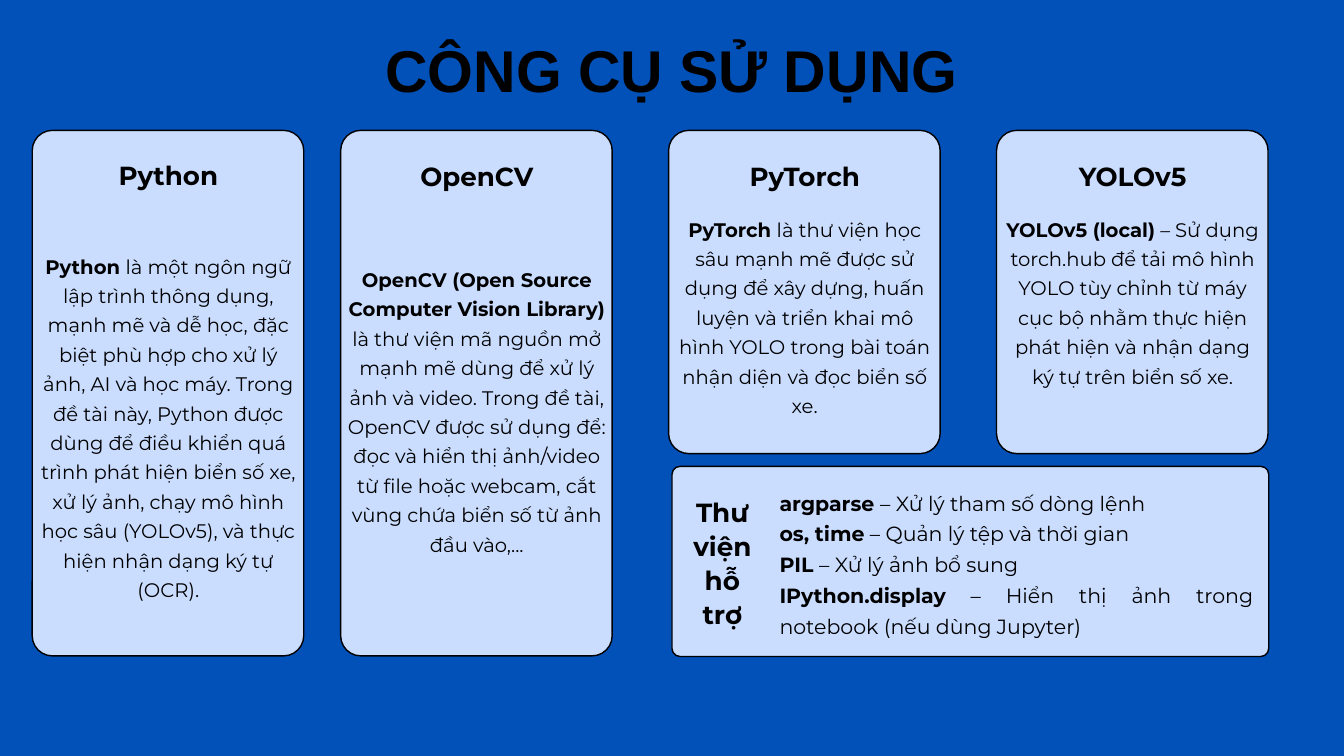
import pptx
import pptx.util
import pptx.dml.color
import pptx.enum.shapes
import pptx.enum.text
import pptx.oxml.ns
import lxml.etree

BLUE = pptx.dml.color.RGBColor(0x01, 0x51, 0xB8)
PALE = pptx.dml.color.RGBColor(0xCA, 0xDD, 0xFF)
BLACK = pptx.dml.color.RGBColor(0, 0, 0)

EMU_PER_PX = 9144  # 100 px to the inch
CARD_TOP, CARD_W, CARD_RADIUS = 194, 404, 30
TALL_H, SHORT_H = 782, 481
HEADING_INSET, HEADING_W, HEADING_H = 57, 291, 48
TEXT_INSET, TEXT_W = 9, 387

CENTER = pptx.enum.text.PP_ALIGN.CENTER
JUSTIFY = pptx.enum.text.PP_ALIGN.JUSTIFY

# left, card height, heading, heading top, text top, text height, bold lead, rest
CARDS = [
    (48, TALL_H, "Python", 233, 370, 521, "Python ",
     "là một ngôn ngữ lập trình thông dụng, mạnh mẽ và dễ học, đặc biệt phù hợp "
     "cho xử lý ảnh, AI và học máy. Trong đề tài này, Python được dùng để điều "
     "khiển quá trình phát hiện biển số xe, xử lý ảnh, chạy mô hình học sâu "
     "(YOLOv5), và thực hiện nhận dạng ký tự (OCR)."),
    (507, TALL_H, "OpenCV", 235, 390, 477,
     "OpenCV (Open Source Computer Vision Library)",
     " là thư viện mã nguồn mở mạnh mẽ dùng để xử lý ảnh và video. Trong đề tài, "
     "OpenCV được sử dụng để: đọc và hiển thị ảnh/video từ file hoặc webcam, cắt "
     "vùng chứa biển số từ ảnh đầu vào,..."),
    (995, SHORT_H, "PyTorch", 235, 315, 302, "PyTorch ",
     "là thư viện học sâu mạnh mẽ được sử dụng để xây dựng, huấn luyện và triển "
     "khai mô hình YOLO trong bài toán nhận diện và đọc biển số xe."),
    (1483, SHORT_H, "YOLOv5", 235, 315, 302, "YOLOv5 (local)",
     " – Sử dụng torch.hub để tải mô hình YOLO tùy chỉnh từ máy cục bộ nhằm thực "
     "hiện phát hiện và nhận dạng ký tự trên biển số xe."),
]

LIBRARIES = [
    ("argparse ", "– Xử lý tham số dòng lệnh"),
    ("os, time", " – Quản lý tệp và thời gian"),
    ("PIL ", "– Xử lý ảnh bổ sung"),
    ("IPython.display", " – Hiển thị ảnh trong notebook (nếu dùng Jupyter)"),
]


def px(n):
    return pptx.util.Emu(n * EMU_PER_PX)


def place(sp, left, top, width, height):
    sp.left, sp.top, sp.width, sp.height = px(left), px(top), px(width), px(height)


def fill_text(sp, paragraphs, size, spacing, align=CENTER, font="Montserrat"):
    """Each paragraph is a list of (text, bold) runs."""
    tf = sp.text_frame
    tf.word_wrap = True
    tf.auto_size = pptx.enum.text.MSO_AUTO_SIZE.NONE
    tf.vertical_anchor = pptx.enum.text.MSO_ANCHOR.TOP
    tf.margin_left = tf.margin_right = tf.margin_top = tf.margin_bottom = 0
    for i, runs in enumerate(paragraphs):
        p = tf.add_paragraph() if i else tf.paragraphs[0]
        p.alignment = align
        p.line_spacing = pptx.util.Pt(spacing)
        p.space_before = pptx.util.Pt(0)
        for text, bold in runs:
            r = p.add_run()
            r.text = text
            r.font.name = font
            r.font.size = pptx.util.Pt(size)
            r.font.bold = bold
            r.font.color.rgb = BLACK


def add_text(s, box, paragraphs, size, spacing):
    sp = s.shapes.add_textbox(*map(px, box))
    fill_text(sp, paragraphs, size, spacing)


def add_panel(s, left, top, width, height, radius):
    sp = s.shapes.add_shape(pptx.enum.shapes.MSO_SHAPE.ROUNDED_RECTANGLE,
                            px(left), px(top), px(width), px(height))
    sp.adjustments[0] = radius / min(width, height)
    sp.shadow.inherit = False
    sp.fill.solid()
    sp.fill.fore_color.rgb = PALE
    sp.line.color.rgb = BLACK
    sp.line.width = pptx.util.Pt(1.5)


def add_card(s, left, height, heading, heading_top, text_top, text_h, lead, rest):
    add_panel(s, left, CARD_TOP, CARD_W, height, CARD_RADIUS)
    add_text(s, (left + HEADING_INSET, heading_top, HEADING_W, HEADING_H),
             [[(heading, True)]], 28, 36.4)
    add_text(s, (left + TEXT_INSET, text_top, TEXT_W, text_h),
             [[(lead, True), (rest, False)]], 21, 31.5)


def fill_library_list(sp):
    fill_text(sp, [[(name, True), (use, False)] for name, use in LIBRARIES],
              22, 33, JUSTIFY)
    for p in sp.text_frame.paragraphs:
        pPr = p._p.get_or_add_pPr()
        pPr.set("marL", "0")
        pPr.set("indent", "0")
        lxml.etree.SubElement(pPr, pptx.oxml.ns.qn("a:buNone"))


def main():
    prs = pptx.Presentation()
    prs.slide_width, prs.slide_height = px(2000), px(1125)
    s = prs.slides.add_slide(prs.slide_layouts[1])
    s.background.fill.solid()
    s.background.fill.fore_color.rgb = BLUE

    # Title
    title, body = s.shapes.title, s.placeholders[1]
    place(title, 475, 67, 1049, 103)
    fill_text(title, [[("CÔNG CỤ SỬ DỤNG", True)]], 63.1, 63.8, font="Arial")

    # Tool cards
    for card in CARDS:
        add_card(s, *card)

    # Supporting libraries: the list goes in front of its panel
    add_panel(s, 1000, 694, 888, 283, 12)
    add_text(s, (1023, 734, 104, 200), [[("Thư viện hỗ trợ", True)]], 28.1, 36.6)
    place(body, 1160, 721, 705, 224)
    fill_library_list(body)
    body.element.getparent().append(body.element)

    prs.save("out.pptx")


if __name__ == "__main__":
    main()
